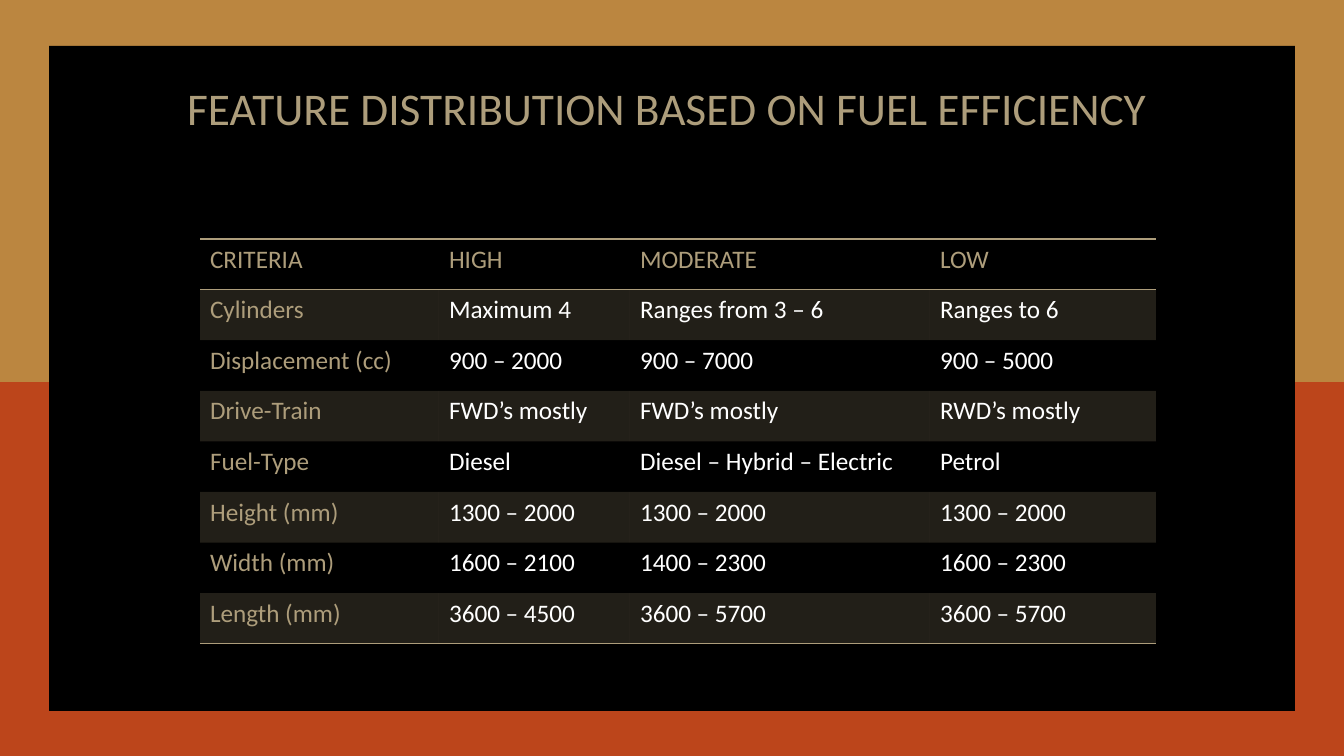
from dataclasses import dataclass

from lxml.etree import SubElement as Sub
from pptx import Presentation
from pptx.dml.color import RGBColor as Rgb
from pptx.enum.shapes import MSO_SHAPE as Shape
from pptx.enum.text import MSO_ANCHOR as Anchor, PP_ALIGN as Align
from pptx.oxml import parse_xml
from pptx.oxml.ns import nsdecls, qn
from pptx.util import Pt

PX = 914400 / 100.8  # EMU in one px


@dataclass
class Theme:
    rust: str = "BC451B"
    gold: str = "BB8640"
    black: str = "000000"
    sand: str = "AD9D7B"
    white: str = "FFFFFF"
    edge: str = "404040"
    font: str = "Calibri"
    head: float = 32.4
    body: float = 18
    band: int = 20  # opacity of a banded row, percent
    glow: int = 10  # opacity of the text outline, percent
    grid: str = "{2D5ABB26-0587-4C30-8999-92F81FD0307C}"  # no style, no grid


def px(*nums):
    return [round(n * PX) for n in nums]


def put(item, **vals):
    for key, val in vals.items():
        setattr(item, key, val)


def line(tag, width, color, alpha=100):
    return parse_xml(
        f'<a:{tag} {nsdecls("a")} w="{Pt(width)}"><a:solidFill><a:srgbClr val="{color}">'
        f'<a:alpha val="{alpha * 1000}"/></a:srgbClr></a:solidFill></a:{tag}>')


class Deck:
    def __init__(self, theme):
        self.theme = theme
        self.prs = Presentation()
        wide, high = px(1344, 756)
        put(self.prs, slide_width=wide, slide_height=high)
        self.slide = self.prs.slides.add_slide(self.prs.slide_layouts[5])
        self.paint(self.slide.background.fill, theme.rust)

    def paint(self, fill, color):
        fill.solid()
        fill.fore_color.rgb = Rgb.from_string(color)

    def rect(self, box, color):
        shape = self.slide.shapes.add_shape(Shape.RECTANGLE, *px(*box))
        shape.shadow.inherit = False
        shape.line.fill.background()
        self.paint(shape.fill, color)

    def label(self, frame, text, size, color, align, edged):
        para = frame.paragraphs[0]
        para.alignment = align
        run = para.add_run()
        run.text = text
        put(run.font, name=self.theme.font, size=Pt(size), bold=False)
        run.font.color.rgb = Rgb.from_string(color)
        if edged:
            edge = line("ln", 0.75, self.theme.edge, self.theme.glow)
            run.font._element.insert(0, edge)

    def title(self, box, text):
        shape = self.slide.shapes.title
        left, top, width, height = px(*box)
        put(shape, left=left, top=top, width=width, height=height)
        put(shape.text_frame, word_wrap=True, margin_top=0, margin_bottom=0,
            vertical_anchor=Anchor.MIDDLE)
        self.label(shape.text_frame, text, self.theme.head, self.theme.sand,
                   Align.CENTER, True)
        # Bring the title in front of the panels
        self.slide.shapes._spTree.append(shape._element)

    def table(self, spot, widths, height, rows):
        size = (sum(widths), height)
        table = self.slide.shapes.add_table(
            len(rows), len(widths), *px(*spot, *size)).table
        table._tbl.tblPr.find(qn("a:tableStyleId")).text = self.theme.grid
        for col, width in zip(table.columns, px(*widths)):
            col.width = width
        for r, row in enumerate(rows):
            for c, text in enumerate(row):
                self.cell(table.cell(r, c), text, r, c, r == len(rows) - 1)

    def cell(self, cell, text, r, c, last):
        theme = self.theme
        head = r == 0 or c == 0
        self.label(cell.text_frame, text, theme.body,
                   theme.sand if head else theme.white, Align.LEFT, head)
        # Odd rows are banded
        props = cell._tc.get_or_add_tcPr()
        if r % 2:
            self.paint(cell.fill, theme.sand)
            tint = props.find(".//" + qn("a:srgbClr"))
            Sub(tint, qn("a:alpha"), val=str(theme.band * 1000))
        else:
            cell.fill.background()
        # Rules above and below the header, and under the last row
        if r == 0 or last:
            props.insert(0, line("lnB", 1, theme.sand))
        if r == 0:
            props.insert(0, line("lnT", 1, theme.sand))


def main():
    theme = Theme()
    deck = Deck(theme)

    # Backdrop
    deck.rect((-3, 0, 1347, 382), theme.gold)
    deck.rect((49, 46, 1246, 665), theme.black)

    # Heading
    deck.title((20, 51, 1304, 112),
               "FEATURE DISTRIBUTION BASED ON FUEL EFFICIENCY ")

    # Features by efficiency class
    deck.table((200, 239), (239, 191, 300, 226), 405, [
        ("CRITERIA", "HIGH", "MODERATE", "LOW"),
        ("Cylinders", "Maximum 4", "Ranges from 3 – 6", "Ranges to 6"),
        ("Displacement (cc)", "900 – 2000", "900 – 7000", "900 – 5000"),
        ("Drive-Train", "FWD’s mostly", "FWD’s mostly", "RWD’s mostly"),
        ("Fuel-Type", "Diesel", "Diesel – Hybrid – Electric", "Petrol"),
        ("Height (mm)", "1300 – 2000", "1300 – 2000", "1300 – 2000"),
        ("Width (mm)", "1600 – 2100", "1400 – 2300", "1600 – 2300"),
        ("Length (mm)", "3600 – 4500", "3600 – 5700", "3600 – 5700"),
    ])
    deck.prs.save("out.pptx")


if __name__ == "__main__":
    main()
